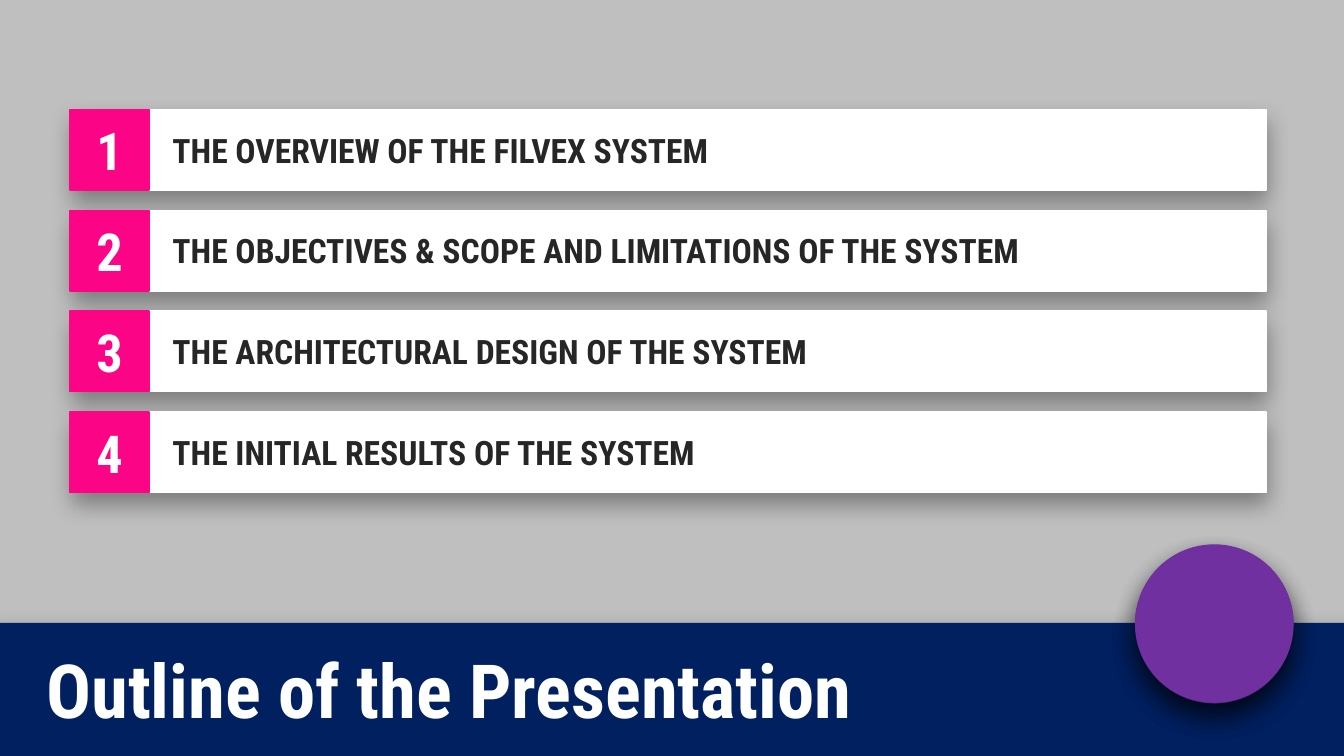
from typing import NamedTuple

from lxml.etree import SubElement
from pptx import Presentation
from pptx.dml.color import RGBColor
from pptx.enum.shapes import MSO_SHAPE as Kind
from pptx.enum.text import MSO_ANCHOR as Anchor, MSO_AUTO_SIZE as Fit, PP_ALIGN as Align
from pptx.oxml.ns import qn
from pptx.util import Emu, Pt

PX = 4572
WIDE, HIGH = 2000, 1125
FONT = "Roboto Condensed"
GRAY = RGBColor(0xBF, 0xBF, 0xBF)
WHITE = RGBColor(0xFF, 0xFF, 0xFF)
PINK = RGBColor(0xFC, 0x04, 0x86)
INK = RGBColor(0x26, 0x26, 0x26)
NAVY = RGBColor(0x00, 0x20, 0x60)
PURPLE = RGBColor(0x70, 0x30, 0xA0)


class Box(NamedTuple):
    left: int
    top: int
    width: int
    height: int

    def emu(self) -> list[Emu]:
        return [Emu(n * PX) for n in self]


class Shade(NamedTuple):
    alpha: int
    blur: int
    dist: int


class Item(NamedTuple):
    num: str
    text: str


SOFT = Shade(35, 12, 6)
DEEP = Shade(45, 14, 7)
TOP, STEP = 163, 150
ITEMS = [
    Item("1", "THE OVERVIEW OF THE FILVEX SYSTEM"),
    Item("2", "THE OBJECTIVES & SCOPE AND LIMITATIONS OF THE SYSTEM"),
    Item("3", "THE ARCHITECTURAL DESIGN OF THE SYSTEM"),
    Item("4", "THE INITIAL RESULTS OF THE SYSTEM"),
]


def add_shape(shapes, kind: Kind, box: Box, fill: RGBColor,
              shade: Shade | None = None, edge: bool = False):
    shape = shapes.add_shape(kind, *box.emu())
    shape.shadow.inherit = False
    shape.fill.solid()
    shape.fill.fore_color.rgb = fill
    if edge:
        shape.line.color.rgb = fill
        shape.line.width = Pt(0.75)
    else:
        shape.line.fill.background()
    if shade:
        effects = shape.element.spPr.find(qn("a:effectLst"))
        outer = SubElement(effects, qn("a:outerShdw"), blurRad=str(Pt(shade.blur)),
                           dist=str(Pt(shade.dist)), dir="5400000",
                           algn="ctr", rotWithShape="0")
        tint = SubElement(outer, qn("a:srgbClr"), val="000000")
        SubElement(tint, qn("a:alpha"), val=str(shade.alpha * 1000))
    return shape


def write(shape, text: str, size: int, color: RGBColor,
          align: Align = Align.LEFT, anchor: Anchor = Anchor.TOP,
          fit: Fit = Fit.SHAPE_TO_FIT_TEXT) -> None:
    frame = shape.text_frame
    frame.word_wrap = True
    frame.auto_size = fit
    frame.vertical_anchor = anchor
    para = frame.paragraphs[0]
    para.alignment = align
    run = para.add_run()
    run.text = text
    run.font.name = FONT
    run.font.size = Pt(size)
    run.font.bold = True
    run.font.color.rgb = color


def add_item(slide, item: Item, top: int) -> None:
    shapes = slide.shapes.add_group_shape().shapes
    add_shape(shapes, Kind.RECTANGLE, Box(106, top, 1778, 120), WHITE, SOFT, True)
    badge = add_shape(shapes, Kind.RECTANGLE, Box(104, top, 118, 120), PINK, edge=True)
    write(badge, item.num, 28, WHITE, Align.CENTER, Anchor.MIDDLE, Fit.NONE)
    label = shapes.add_textbox(*Box(237, top + 20, 1640, 80).emu())
    write(label, item.text, 18, INK)


def main() -> None:
    deck = Presentation()
    deck.slide_width, deck.slide_height = Emu(WIDE * PX), Emu(HIGH * PX)
    slide = deck.slides.add_slide(deck.slide_layouts[5])
    slide.background.fill.solid()
    slide.background.fill.fore_color.rgb = GRAY

    for i, item in enumerate(ITEMS):
        add_item(slide, item, TOP + i * STEP)

    band = add_shape(slide.shapes, Kind.RECTANGLE, Box(-16, 927, 2034, 350), NAVY, DEEP)
    title = slide.shapes.title
    title.left, title.top, title.width, title.height = Box(49, 948, 1600, 154).emu()
    write(title, "Outline of the Presentation", 40, WHITE)
    band.element.addnext(title.element)

    for top in (811, 810):
        add_shape(slide.shapes, Kind.OVAL, Box(1689, top, 236, 236), PURPLE, DEEP)

    deck.save("out.pptx")


if __name__ == "__main__":
    main()
